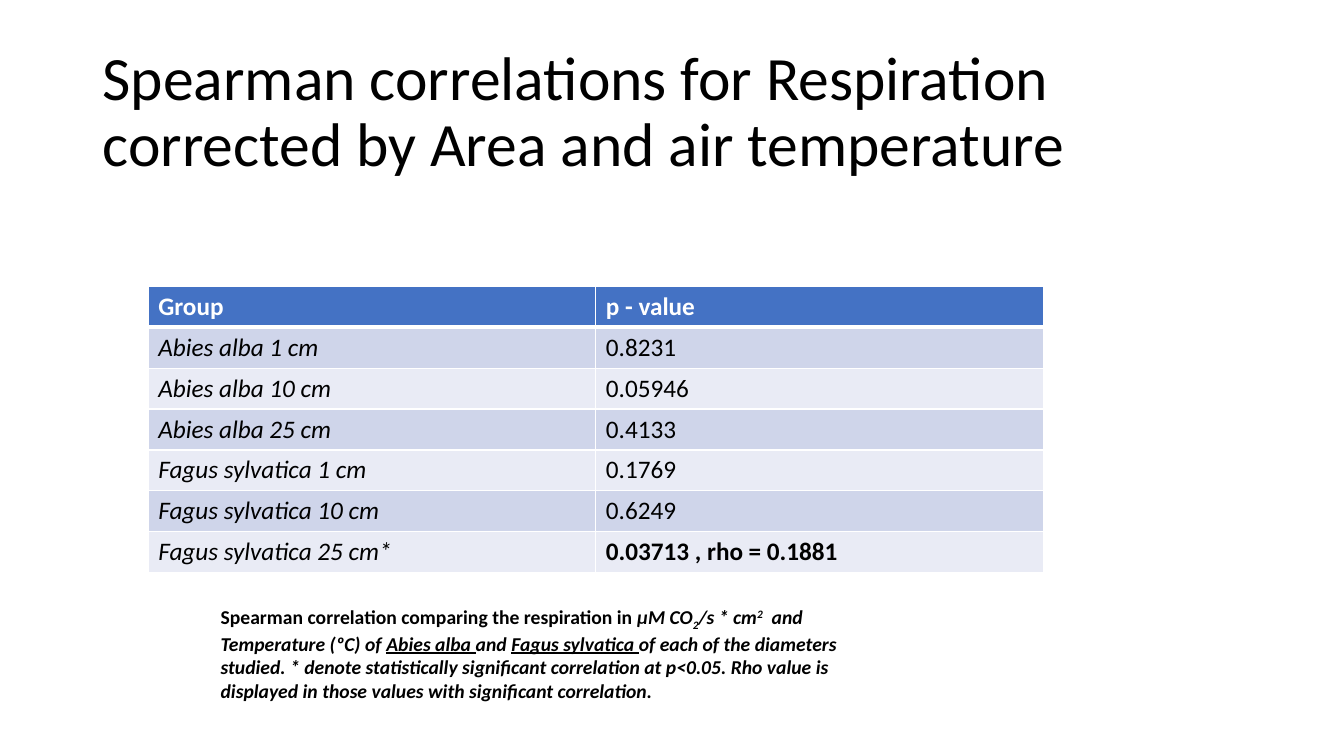
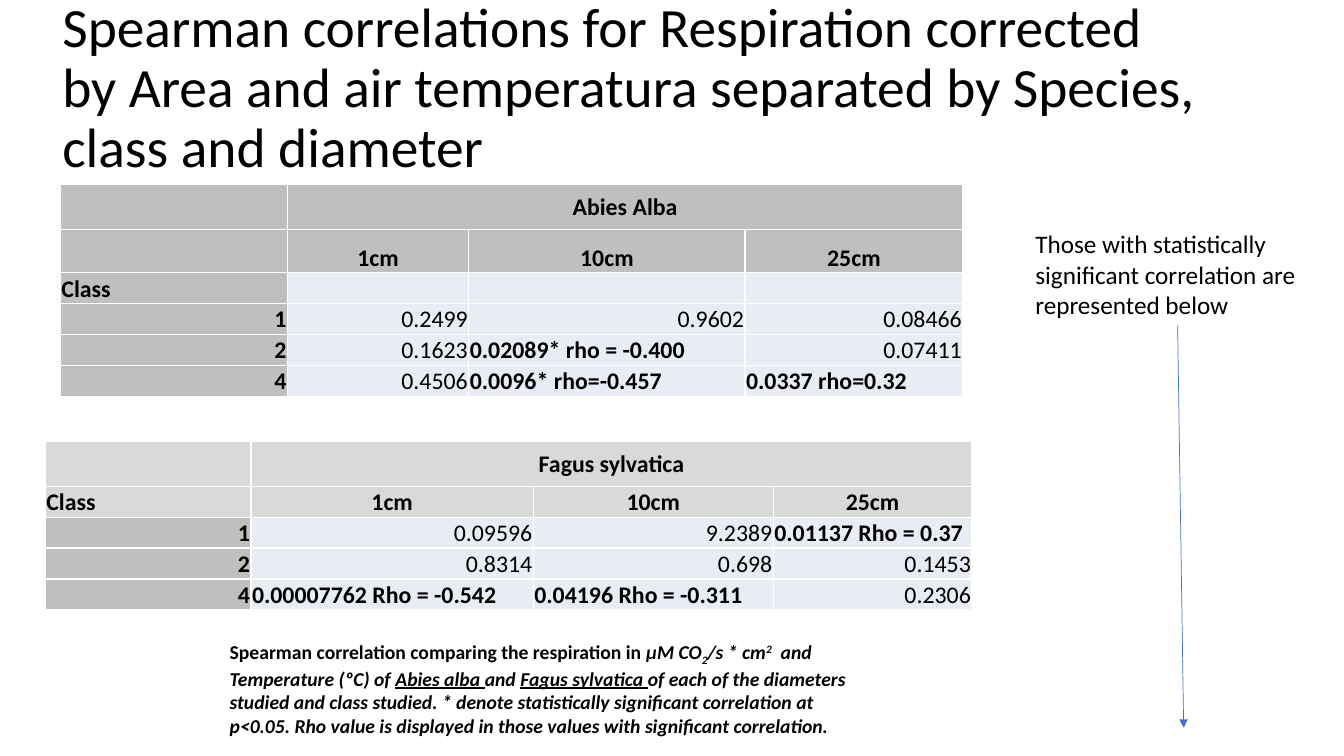
from lxml import etree
from pptx import Presentation
from pptx.dml.color import RGBColor
from pptx.enum.shapes import MSO_CONNECTOR
from pptx.enum.text import MSO_ANCHOR, PP_ALIGN
from pptx.oxml.ns import qn
from pptx.util import Inches, Pt

LEFT, CENTER, RIGHT = PP_ALIGN.LEFT, PP_ALIGN.CENTER, PP_ALIGN.RIGHT
TOP, MIDDLE, BOTTOM = MSO_ANCHOR.TOP, MSO_ANCHOR.MIDDLE, MSO_ANCHOR.BOTTOM
STRAIGHT = MSO_CONNECTOR.STRAIGHT

FONT = "Calibri"
BLACK, WHITE, BLUE = "000000", "FFFFFF", "4472C4"
BAND_DARK, BAND_LIGHT = "CFD5EA", "E9EBF5"
GRAY, PALE_GRAY = "BFBFBF", "D9D9D9"
WIDE_INSETS = (0.1, 0.05, 0.1, 0.05)
TIGHT_INSETS = (0.01, 0.01, 0.01, 0)
SPECIES_INSETS = (0.15, 0.08, 0.15, 0.08)

DIAMETER_ROWS = [
    ("Group", "p - value"),
    ("Abies alba 1 cm", "0.8231"),
    ("Abies alba 10 cm", "0.05946"),
    ("Abies alba 25 cm", "0.4133"),
    ("Fagus sylvatica 1 cm", "0.1769"),
    ("Fagus sylvatica 10 cm", "0.6249"),
    ("Fagus sylvatica 25 cm*", "0.03713 , rho = 0.1881"),
]
ABIES_ROWS = [
    ("", "Abies Alba", "", ""),
    ("", "1cm", "10cm", "25cm"),
    ("Class", "", "", ""),
    ("1", "0.2499", "0.9602", "0.08466"),
    ("2", "0.1623", "0.02089* rho = -0.400", "0.07411"),
    ("4", "0.4506", "0.0096* rho=-0.457", "0.0337 rho=0.32"),
]
FAGUS_ROWS = [
    ("", "Fagus sylvatica", "", ""),
    ("Class", "1cm", "10cm", "25cm"),
    ("1", "0.09596", "9.2389", "0.01137 Rho = 0.37"),
    ("2", "0.8314", "0.698", "0.1453"),
    ("4", "0.00007762 Rho = -0.542", "0.04196 Rho = -0.311", "0.2306"),
]


def rgb(color):
    return RGBColor.from_string(color)


def format_run(r, size, color=BLACK, bold=False, italic=False, underline=False):
    r.font.name = FONT
    r.font.size = Pt(size)
    r.font.color.rgb = rgb(color)
    r.font.bold = bold
    r.font.italic = italic
    r.font.underline = underline


def add_box(slide, left, top, width, height, anchor=TOP):
    tf = slide.shapes.add_textbox(
        Inches(left), Inches(top), Inches(width), Inches(height)
    ).text_frame
    tf.word_wrap = True
    tf.vertical_anchor = anchor
    return tf.paragraphs[0]


def add_title(slide, text, left, top, size):
    p = add_box(slide, left, top, 11.5, 1.45, MIDDLE)
    p.text = text
    p.line_spacing = 0.9
    format_run(p.runs[0], size)


def add_caption(slide, left, top, scope):
    p = add_box(slide, left, top, 6.57, 1.04)
    parts = [
        ("Spearman correlation comparing the respiration in ", False, False, 0),
        ("µM CO", True, False, 0),
        ("2", True, False, -25),
        ("/s * cm", True, False, 0),
        ("2", True, False, 30),
        ("  and Temperature (ºC) of ", True, False, 0),
        ("Abies alba ", True, True, 0),
        ("and ", True, False, 0),
        ("Fagus sylvatica ", True, True, 0),
        (f"of each of the {scope}. * denote statistically significant "
         "correlation at p<0.05. Rho value is displayed in those values "
         "with significant correlation.", True, False, 0),
    ]
    for text, italic, underline, baseline in parts:
        r = p.add_run()
        r.text = text
        format_run(r, 14, bold=True, italic=italic, underline=underline)
        if baseline:
            r.font._element.set("baseline", str(baseline * 1000))


def add_borders(cell, bottom=1, top=1):
    tcPr = cell._tc.get_or_add_tcPr()
    for side, width in (("L", 1), ("R", 1), ("T", top), ("B", bottom)):
        ln = etree.SubElement(tcPr, qn(f"a:ln{side}"), w=str(Pt(width)))
        fill = etree.SubElement(ln, qn("a:solidFill"))
        etree.SubElement(fill, qn("a:srgbClr"), val=WHITE)


def format_cell(cell, text, fill, size, align=LEFT, anchor=TOP,
                insets=WIDE_INSETS, **font):
    cell.fill.solid()
    cell.fill.fore_color.rgb = rgb(fill)
    cell.vertical_anchor = anchor
    (cell.margin_left, cell.margin_top,
     cell.margin_right, cell.margin_bottom) = map(Inches, insets)
    p = cell.text_frame.paragraphs[0]
    p.text = text
    p.alignment = align
    p._p.get_or_add_endParaRPr().set("sz", str(size * 100))
    for r in p.runs:
        format_run(r, size, **font)


def add_grid(slide, left, top, widths, heights):
    table = slide.shapes.add_table(
        len(heights), len(widths), Inches(left), Inches(top),
        Inches(sum(widths)), Inches(sum(heights))
    ).table
    for column, width in zip(table.columns, widths):
        column.width = Inches(width)
    for row, height in zip(table.rows, heights):
        row.height = Inches(height)
    return table


def add_diameter_table(slide, left, top, rows):
    table = add_grid(slide, left, top, [4.44] * 2, [0.406] * len(rows))
    for i, row in enumerate(rows):
        for j, text in enumerate(row):
            cell = table.cell(i, j)
            header = i == 0
            add_borders(cell, bottom=3 if header else 1, top=3 if i == 1 else 1)
            fill = BLUE if header else BAND_DARK if i % 2 else BAND_LIGHT
            format_cell(cell, text, fill, 18,
                        color=WHITE if header else BLACK,
                        bold=header or "rho" in text,
                        italic=not header and j == 0)


def add_species_table(slide, left, top, widths, heights, rows, header_fill):
    table = add_grid(slide, left, top, widths, heights)
    table.first_row = False
    table.horz_banding = False
    for i, row in enumerate(rows):
        for j, text in enumerate(row):
            cell = table.cell(i, j)
            header = i < 2
            significant = "rho" in text.lower()
            if j == 0:
                align = RIGHT if text.isdigit() else LEFT
            elif header:
                align = CENTER
            else:
                align = LEFT if significant else RIGHT
            fill = header_fill if header else GRAY if j == 0 else BAND_LIGHT
            insets = SPECIES_INSETS if i == 0 and j == 1 else TIGHT_INSETS
            add_borders(cell)
            format_cell(cell, text, fill, 17, align, BOTTOM, insets,
                        bold=header or j == 0 or significant)
    table.cell(0, 1).merge(table.cell(0, len(widths) - 1))


def add_note(slide, text, left, top, width, height):
    p = add_box(slide, left, top, width, height)
    p.text = text
    format_run(p.runs[0], 18)


def add_arrow(slide, x1, y1, x2, y2):
    sp = slide.shapes.add_connector(
        STRAIGHT, Inches(x1), Inches(y1), Inches(x2), Inches(y2))
    sp.line.color.rgb = rgb(BLUE)
    sp.line.width = Pt(0.5)
    etree.SubElement(sp.line._get_or_add_ln(), qn("a:tailEnd"), type="triangle")
    etree.SubElement(sp._element.spPr, qn("a:effectLst"))


def build_diameter_slide(slide):
    add_title(slide, "Spearman correlations for Respiration corrected by Area "
              "and air temperature", 0.92, 0.4, 44)
    add_diameter_table(slide, 1.47, 2.84, DIAMETER_ROWS)
    add_caption(slide, 2.09, 5.95, "diameters studied")


def build_class_slide(slide):
    add_species_table(slide, 0.6, 1.83, [2.25, 1.8, 2.74, 2.16],
                      [0.43] * 2 + [0.307] * 4, ABIES_ROWS, GRAY)
    add_species_table(slide, 0.45, 4.38, [2.04, 2.8, 2.38, 1.97],
                      [0.43] + [0.307] * 4, FAGUS_ROWS, PALE_GRAY)
    add_title(slide, "Spearman correlations for Respiration corrected by Area "
              "and air temperatura separated by Species, class and diameter",
              0.52, 0.16, 39.6)
    add_caption(slide, 2.18, 6.3, "diameters studied and class studied")
    add_note(slide, "Those with statistically significant correlation are "
             "represented below", 10.17, 2.22, 3.01, 1.01)
    add_arrow(slide, 11.68, 3.23, 11.74, 7.22)


def main():
    prs = Presentation()
    prs.slide_width = Inches(13.33)
    prs.slide_height = Inches(7.5)
    blank = prs.slide_layouts[6]
    for build in (build_diameter_slide, build_class_slide):
        build(prs.slides.add_slide(blank))
    prs.save("out.pptx")


if __name__ == "__main__":
    main()
